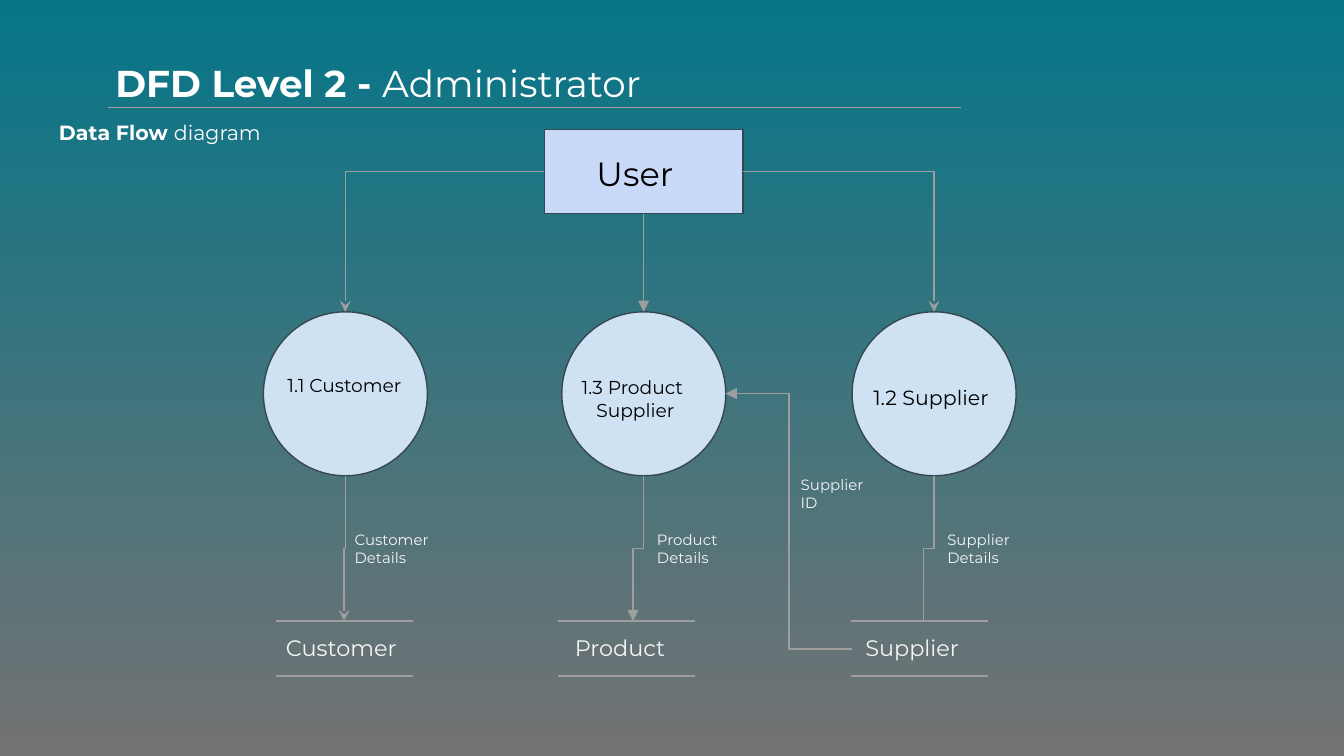
from collections import namedtuple

from lxml.etree import SubElement
from pptx import Presentation
from pptx.dml.color import RGBColor
from pptx.enum.shapes import MSO_CONNECTOR, MSO_SHAPE
from pptx.enum.text import MSO_AUTO_SIZE
from pptx.oxml.ns import qn
from pptx.util import Inches, Pt

# The slide is a grid of 100 columns by 56.25 rows; all lengths are in cells.
CELL = Inches(0.1)
COLUMNS, ROWS = 100, 56.25
FONT = "Montserrat"
WHITE, PALE, BLACK = "FFFFFF", "F5F5F5", "000000"
LINE, OUTLINE = "9E9E9E", "37474F"

Box = namedtuple("Box", "left top width height")
Process = namedtuple("Process", "left name size name_at indents store store_at "
                                "rule_at flow details details_at head")

PROCESSES = [
    Process(19.6, ["1.1 Customer"], 10, (0.8, 3.8), [0], "Customer", 0.7, 0.9,
            -0.1, ["Customer Details"], 5.8, "stealth"),
    Process(41.8, ["1.3 Product", "Supplier"], 10, (0.5, 3.8), [0, 1.1], "Product", 0, -0.3,
            -0.8, ["Product", "Details"], 6.1, "triangle"),
    Process(63.4, ["1.2 Supplier"], 11, (0.6, 4.5), [0], "Supplier", 0, -0.1,
            -0.8, ["Supplier", "Details"], 6.1, None),
]


def cells(*lengths):
    return [round(length * CELL) for length in lengths]


def color(hex_string):
    return RGBColor.from_string(hex_string)


def add_text(page, box, lines, size, hue, indents=None):
    frame = page.shapes.add_textbox(*cells(*box)).text_frame
    frame.word_wrap = True
    frame.auto_size = MSO_AUTO_SIZE.SHAPE_TO_FIT_TEXT
    frame.margin_left = frame.margin_right = CELL
    frame.margin_top = frame.margin_bottom = CELL
    frame.text = "\n".join(lines)
    for para, indent in zip(frame.paragraphs, indents or [0] * len(lines)):
        para.font.name, para.font.size = FONT, Pt(size)
        para.font.color.rgb = color(hue)
        if indent:
            para._p.get_or_add_pPr().set("marL", str(cells(indent)[0]))
    return frame


def add_title(page, box, strong, light, size):
    """Add a line of text whose first part is bold."""
    para = add_text(page, box, [strong], size, WHITE).paragraphs[0]
    para.runs[0].font.bold = True
    para.add_run().text = light
    para.line_spacing, para.space_after = 1.08, Pt(8)


def add_outlined(page, kind, box, fill):
    shape = page.shapes.add_shape(kind, *cells(*box))
    shape.shadow.inherit = False
    shape.fill.solid()
    shape.fill.fore_color.rgb = color(fill)
    shape.line.color.rgb, shape.line.width = color(OUTLINE), Pt(0.75)


def add_line(page, start, end, head=None, kind=MSO_CONNECTOR.STRAIGHT):
    connector = page.shapes.add_connector(kind, *cells(*start, *end))
    connector.line.color.rgb, connector.line.width = color(LINE), Pt(0.75)
    if head:
        SubElement(connector.line._get_or_add_ln(), qn("a:tailEnd"), type=head)
    properties = connector._element.spPr
    SubElement(properties, qn("a:effectLst"))
    return properties


def add_corner(page, start, end, head):
    """Connect sideways first, then down, with one bend."""
    properties = add_line(page, start, end, head, MSO_CONNECTOR.ELBOW)
    properties.find(qn("a:prstGeom")).set("prst", "bentConnector2")


def add_step_down(page, start, end, head):
    """Connect down, left and down: an elbow turned by a quarter."""
    middle_x, middle_y = (start[0] + end[0]) / 2, (start[1] + end[1]) / 2
    half_long, half_short = (end[1] - start[1]) / 2, (start[0] - end[0]) / 2
    properties = add_line(page, (middle_x - half_long, middle_y - half_short),
                          (middle_x + half_long, middle_y + half_short),
                          head, MSO_CONNECTOR.ELBOW)
    properties.find(qn("a:xfrm")).set("rot", str(90 * 60000))


def draw_background(page):
    fill = page.background.fill
    fill.gradient()
    fill.gradient_angle = 270
    for stop, hue, position in zip(fill.gradient_stops, ("067588", "737373"), (0, 1)):
        stop.color.rgb, stop.position = color(hue), position


def draw_heading(page, box):
    left, top, width, _ = box
    add_title(page, Box(left + 4.2, top, width, 5.4), "DFD Level 2 - ", "Administrator", 20)
    add_line(page, (left + 4.6, top + 4.8), (left + 68.1, top + 4.8))
    add_title(page, Box(left, top + 4.6, width, 3.9), "Data Flow ", "diagram", 11)


def draw_user(page, box):
    add_outlined(page, MSO_SHAPE.RECTANGLE, box, "C9DAF8")
    add_text(page, Box(box.left + 2.9, box.top + 0.7, 9, 5), ["User"], 18, BLACK)


def draw_process(page, box, process):
    """Draw a process circle, its data store and the flow between them."""
    left, top, width, height = box
    bottom, store_top = top + height, top + 23
    center = left + width / 2
    add_outlined(page, MSO_SHAPE.OVAL, Box(left, top, width, width), "CFE2F3")
    across, down = process.name_at
    add_text(page, Box(left + across, top + down, 10.7, 3.7), process.name,
             process.size, BLACK, process.indents)
    add_step_down(page, (center, top + width), (center + process.flow, store_top), process.head)
    add_text(page, Box(left + process.details_at, top + 15.3, 10.7, 4.7),
             process.details, 8, PALE)
    for rule_y in (store_top, bottom):
        rule_left = left + process.rule_at
        add_line(page, (rule_left, rule_y), (rule_left + 10.25, rule_y))
    add_text(page, Box(left + process.store_at, store_top, 10.7, 4), [process.store], 12, PALE)


def draw_user_flows(page, user, circles):
    customer, product, supplier = [(c.left + c.width / 2, c.top) for c in circles]
    middle = user.top + user.height / 2
    add_corner(page, (user.left, middle), customer, "stealth")
    add_corner(page, (user.left + user.width, middle), supplier, "stealth")
    add_line(page, (product[0], user.top + user.height), product, "triangle")


def draw_supplier_id_flow(page, product, supplier):
    """Lead from the supplier store back to the product process."""
    add_line(page, (supplier.left, supplier.top + 25.1),
             (product.left + product.width, product.top + product.width / 2),
             "triangle", MSO_CONNECTOR.ELBOW)
    add_text(page, Box(supplier.left - 4.8, supplier.top + 11.2, 10.7, 4.7),
             ["Supplier", "ID"], 8, PALE)


def main():
    deck = Presentation()
    deck.slide_width, deck.slide_height = cells(COLUMNS, ROWS)
    page = deck.slides.add_slide(deck.slide_layouts[6])
    draw_background(page)
    draw_heading(page, Box(3.4, 3.2, 78, 8.5))
    user = Box(40.5, 9.65, 14.8, 6.25)
    draw_user(page, user)
    boxes = [Box(process.left, 23.2, 12.2, 27.1) for process in PROCESSES]
    for box, process in zip(boxes, PROCESSES):
        draw_process(page, box, process)
    draw_user_flows(page, user, boxes)
    draw_supplier_id_flow(page, boxes[1], boxes[2])
    deck.save("out.pptx")


if __name__ == "__main__":
    main()
